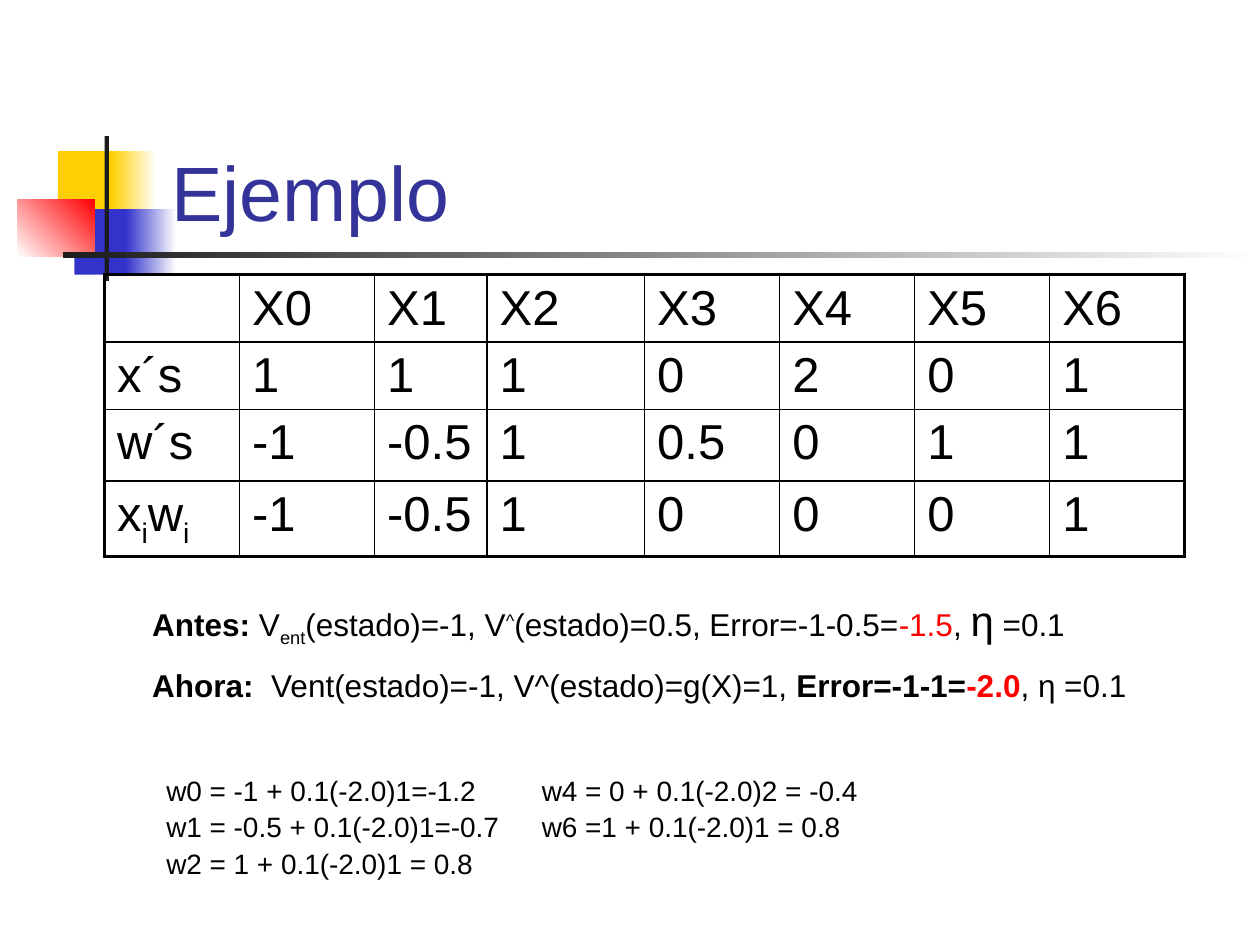
"""Build the slide with a worked example of a weight update."""
import pptx
import pptx.util
import pptx.dml.color
import pptx.enum.text
import pptx.enum.shapes
import pptx.oxml
import pptx.oxml.ns

RGBColor = pptx.dml.color.RGBColor
Pt = pptx.util.Pt
BLACK = RGBColor(0x00, 0x00, 0x00)
WHITE = RGBColor(0xFF, 0xFF, 0xFF)
CHARCOAL = RGBColor(0x1C, 0x1C, 0x1C)
YELLOW = RGBColor(0xFF, 0xCF, 0x01)
BLUE = RGBColor(0x33, 0x33, 0xCC)
NAVY = RGBColor(0x33, 0x33, 0x99)
RED = RGBColor(0xFF, 0x00, 0x00)
COLUMNS, ROWS = 100, 75
BOLD = {"bold": True}
SUBSCRIPT = {"baseline": -25000}
SUPERSCRIPT = {"baseline": 30000}


class Slide:
    """Hold the style and the current page, placing elements on a grid."""

    font = "Arial"

    def __init__(self, deck):
        self.cell_width = deck.slide_width / COLUMNS
        self.cell_height = deck.slide_height / ROWS
        self.page = deck.slides.add_slide(deck.slide_layouts[5])

    def across(self, columns):
        return round(columns * self.cell_width)

    def down(self, rows):
        return round(rows * self.cell_height)

    def place(self, left, top, width, height):
        return self.across(left), self.down(top), self.across(width), self.down(height)

    def fill_text(self, frame, paragraphs, size, color=BLACK, gap=0.0, first_gap=0.0):
        for index, pieces in enumerate(paragraphs):
            para = frame.add_paragraph() if index else frame.paragraphs[0]
            para.alignment = pptx.enum.text.PP_ALIGN.LEFT
            para.space_before = Pt(gap if index else first_gap)
            for text, changes in pieces:
                look = {"name": self.font, "size": size, "color": color, "bold": False, **changes}
                span = para.add_run()
                span.text = text
                span.font.color.rgb = look.pop("color")
                look["size"] = Pt(look["size"])
                if "baseline" in look:
                    span._r.get_or_add_rPr().set("baseline", str(look.pop("baseline")))
                for name, value in look.items():
                    setattr(span.font, name, value)

    def title(self, area, text):
        box = self.page.shapes.title
        box.left, box.top, box.width, box.height = self.place(*area)
        box.text_frame.vertical_anchor = pptx.enum.text.MSO_ANCHOR.BOTTOM
        self.fill_text(box.text_frame, [[(text, {})]], 44, NAVY)

    def block(self, area, start, end=None, angle=0):
        box = self.page.shapes.add_shape(
            pptx.enum.shapes.MSO_SHAPE.RECTANGLE, *self.place(*area))
        box.shadow.inherit = False
        box.line.fill.background()
        if end is None:
            box.fill.solid()
            box.fill.fore_color.rgb = start
            return
        box.fill.gradient()
        box.fill.gradient_angle = angle
        for stop, color, position in zip(box.fill.gradient_stops, (start, end), (0, 1)):
            stop.color.rgb = color
            stop.position = position

    def text(self, area, paragraphs, size, gap, first_gap):
        box = self.page.shapes.add_textbox(*self.place(*area))
        box.text_frame.word_wrap = True
        self.fill_text(box.text_frame, paragraphs, size, gap=gap, first_gap=first_gap)

    def borders(self, cell, widths):
        properties = cell._tc.get_or_add_tcPr()
        for index, (side, width) in enumerate(zip("LRTB", widths)):
            paint = f'<a:solidFill><a:srgbClr val="{BLACK}"/></a:solidFill>' if width else "<a:noFill/>"
            properties.insert(index, pptx.oxml.parse_xml(
                f'<a:ln{side} {pptx.oxml.ns.nsdecls("a")} w="{int(Pt(width))}">{paint}</a:ln{side}>'))

    def table(self, corner, widths, heights, cells, size, gap, inner=0.0, outer=0.0):
        area = self.place(*corner, sum(widths), sum(heights))
        table = self.page.shapes.add_table(len(heights), len(widths), *area).table
        table.first_row = table.horz_banding = False
        for column, width in zip(table.columns, widths):
            column.width = self.across(width)
        for row, height in zip(table.rows, heights):
            row.height = self.down(height)
        last_row, last_column = len(heights) - 1, len(widths) - 1
        for row, line in enumerate(cells):
            for column, paragraphs in enumerate(line):
                cell = table.cell(row, column)
                cell.fill.background()
                edges = (column == 0, column == last_column, row == 0, row == last_row)
                self.borders(cell, [outer if edge else inner for edge in edges])
                self.fill_text(cell.text_frame, paragraphs, size, gap=gap)


def plain(*lines):
    """Turn lines of text into unformatted paragraphs."""
    return [[(line, {})] for line in lines]


deck = pptx.Presentation()
deck.slide_width, deck.slide_height = pptx.util.Inches(10), pptx.util.Inches(7.5)
slide = Slide(deck)

for area, *paint in (
    ((4.6, 12, 4.8, 5.2), YELLOW),
    ((8.8, 12, 3.6, 5.2), YELLOW, WHITE),
    ((5.9, 16.6, 4.6, 5.2), BLUE),
    ((10, 16.6, 4, 5.2), BLUE, WHITE),
    ((1.4, 15.8, 6.1, 4.6), WHITE, RED, 45),
    ((8.3, 10.8, 0.35, 11.5), CHARCOAL),
    ((5, 20, 95, 0.5), CHARCOAL, WHITE),
):
    slide.block(area, *paint)

slide.title((12.6, 6.8, 85.2, 12.5), "Ejemplo")

values = [
    ["", "X0", "X1", "X2", "X3", "X4", "X5", "X6"],
    ["x´s", "1", "1", "1", "0", "2", "0", "1"],
    ["w´s", "-1", "-0.5", "1", "0.5", "0", "1", "1"],
    ["", "-1", "-0.5", "1", "0", "0", "0", "1"],
]
cells = [[plain(value) if value else [] for value in line] for line in values]
cells[3][0] = [[("x", {}), ("i", SUBSCRIPT), ("w", {}), ("i", SUBSCRIPT)]]
slide.table((8.3, 21.8), [10.72, 10.72, 8.93, 12.5] + [10.72] * 4, [5.3, 5.35, 5.7, 5.9],
            cells, 28, 0, inner=1, outer=2.25)

before = [
    ("Antes:", BOLD), (" V", {}), ("ent", SUBSCRIPT), ("(estado)=-1, V", {}),
    ("^", SUPERSCRIPT), ("(estado)=0.5, Error=-1-0.5=", {}), ("-1.5", {"color": RED}),
    (", ", {}), ("η", {"size": 24}), (" =0.1", {}),
]
now = [
    ("Ahora:  ", BOLD), ("Vent(estado)=-1, V^(estado)=g(X)=1, ", {}),
    ("Error=-1-1=", BOLD), ("-2.0", {"bold": True, "color": RED}), (", η =0.1", {}),
]
slide.text((11.1, 46.7, 84.8, 17.5), [before, now], 18, gap=10, first_gap=2)

updates = [[
    plain("w0 = -1 + 0.1(-2.0)1=-1.2", "w1 = -0.5 + 0.1(-2.0)1=-0.7", "w2 = 1 + 0.1(-2.0)1 = 0.8"),
    plain("w4 = 0 + 0.1(-2.0)2 = -0.4", "w6 =1 + 0.1(-2.0)1 = 0.8"),
]]
slide.table((12.2, 61.1), [29.8, 34.7], [17.3], updates, 16, 3)

deck.save("out.pptx")
